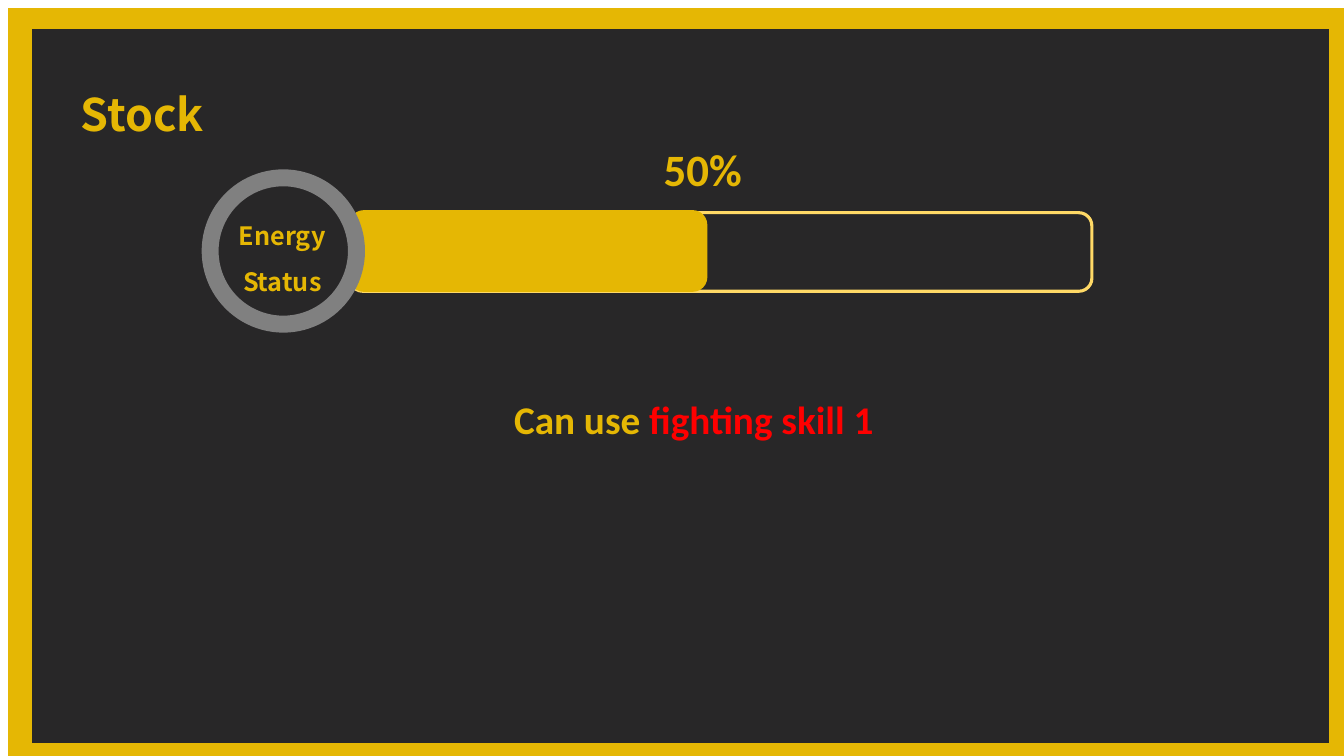
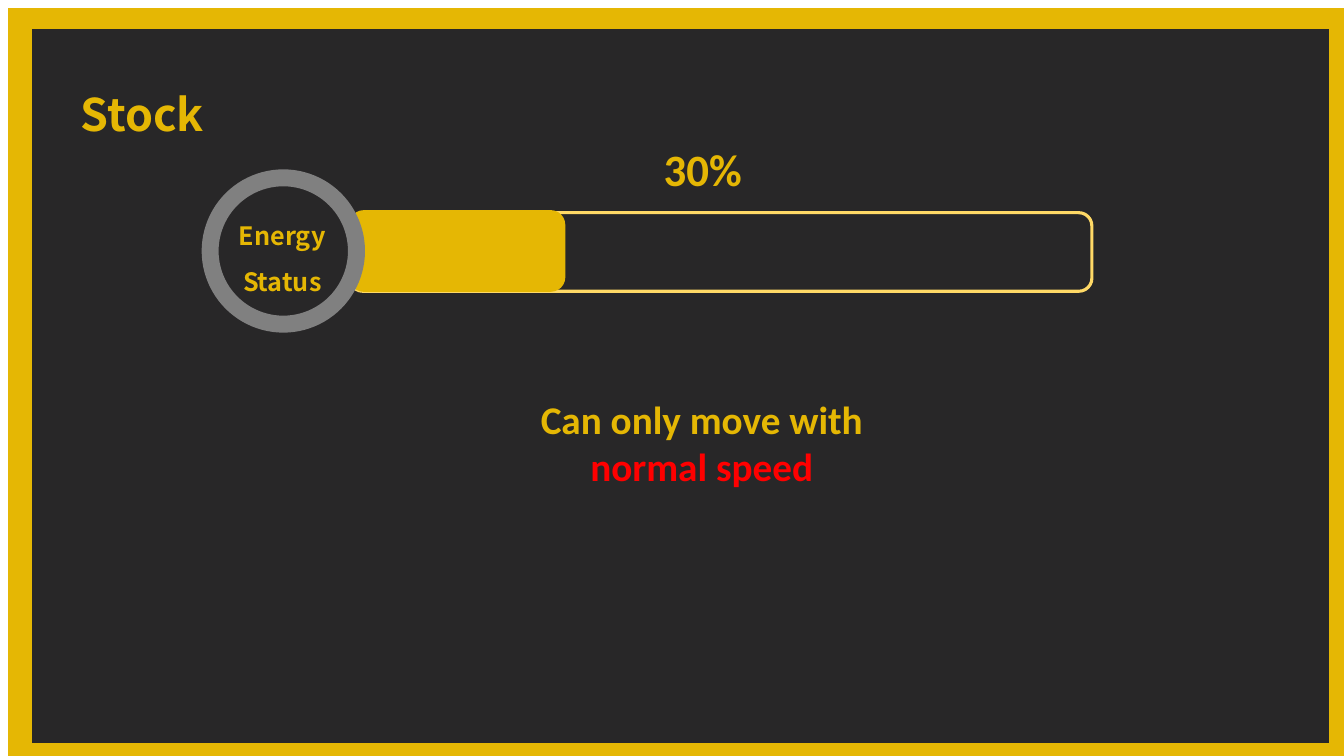
"""Build two energy status slides that share one frame, title and gauge."""
import dataclasses

import pptx
import pptx.dml.color
import pptx.enum.shapes
import pptx.enum.text
import pptx.util

Inches = pptx.util.Inches
Kind = pptx.enum.shapes.MSO_SHAPE


@dataclasses.dataclass(frozen=True)
class Theme:
    gold: str = "E5B704"
    pale: str = "FFD966"
    dark: str = "282728"
    grey: str = "808080"
    red: str = "FF0000"
    head: str = "Noto Sans CJK SC"
    body: str = "Calibri"
    big: int = 32
    mid: int = 28
    small: int = 18
    line: float = 2.25


def color(code):
    return pptx.dml.color.RGBColor.from_string(code)


class Deck:
    def __init__(self, theme):
        self.theme = theme
        self.show = pptx.Presentation()
        self.show.slide_width = Inches(13.33)
        self.show.slide_height = Inches(7.5)
        self.plan = self.show.slide_layouts[5]
        self.slide = None

    def start(self):
        self.slide = self.show.slides.add_slide(self.plan)

    def shape(self, kind, box, fill=None, line=None, bend=None):
        shape = self.slide.shapes.add_shape(kind, *map(Inches, box))
        shape.shadow.inherit = False
        if fill:
            shape.fill.solid()
            shape.fill.fore_color.rgb = color(fill)
        else:
            shape.fill.background()
        if line:
            shape.line.color.rgb = color(line)
            shape.line.width = pptx.util.Pt(self.theme.line)
        else:
            shape.line.fill.background()
        if bend is not None:
            shape.adjustments[0] = bend
        return shape

    def label(self, shape, runs, size, font, space=1.0):
        frame = shape.text_frame
        frame.word_wrap = True
        frame.auto_size = pptx.enum.text.MSO_AUTO_SIZE.SHAPE_TO_FIT_TEXT
        frame.vertical_anchor = pptx.enum.text.MSO_ANCHOR.TOP
        para = frame.paragraphs[0]
        para.alignment = pptx.enum.text.PP_ALIGN.CENTER
        para.line_spacing = space
        for words, tint in runs:
            run = para.add_run()
            run.text = words
            run.font.name = font
            run.font.size = pptx.util.Pt(size)
            run.font.bold = True
            run.font.color.rgb = color(tint)

    def text(self, box, runs, size, font, space=1.0):
        shape = self.slide.shapes.add_textbox(*map(Inches, box))
        self.label(shape, runs, size, font, space)

    def title(self, words, box):
        shape = self.slide.shapes.title
        shape.left, shape.top, shape.width, shape.height = map(Inches, box)
        look = self.theme
        self.label(shape, [(words, look.gold)], look.big, look.head, 1.5)

    def gauge(self, share):
        look = self.theme
        self.text((1.98, 1.99, 1.64, 1), [("Energy Status", look.gold)],
                  look.small, look.head, 1.5)
        self.shape(Kind.ROUNDED_RECTANGLE, (3.47, 2.11, 7.36, 0.78),
                   line=look.pale)
        self.shape(Kind.ROUNDED_RECTANGLE, (3.48, 2.1, 7.04 * share, 0.78),
                   look.gold, look.gold)
        self.shape(Kind.DONUT, (2, 1.68, 1.62, 1.62), look.grey, bend=0.104)
        self.text((5.78, 1.36, 2.38, 0.64), [(f"{share:.0%}", look.gold)],
                  look.big, look.body)

    def note(self, box, lead, key):
        look = self.theme
        self.text(box, [(lead, look.gold), (key, look.red)],
                  look.mid, look.body)

    def frame(self):
        look = self.theme
        bands = [((0.08, 0.08, 13.33, 7.5), look.gold),
                 ((0.32, 0.29, 12.86, 7.08), look.dark)]
        for place, (box, fill) in enumerate(bands, 2):
            band = self.shape(Kind.RECTANGLE, box, fill)
            self.plan.shapes.element.insert(place, band.element)


PAGES = [
    (0.5, (4.49, 3.87, 4.78, 0.57), "Can use ", "fighting skill 1"),
    (0.3, (4.73, 3.87, 4.46, 1.04), "Can only move with ", "normal speed"),
]

deck = Deck(Theme())
for share, box, lead, key in PAGES:
    deck.start()
    deck.title("Stock", (0.56, 0.54, 1.7, 0.9))
    deck.gauge(share)
    deck.note(box, lead, key)
deck.frame()
deck.show.save("out.pptx")
